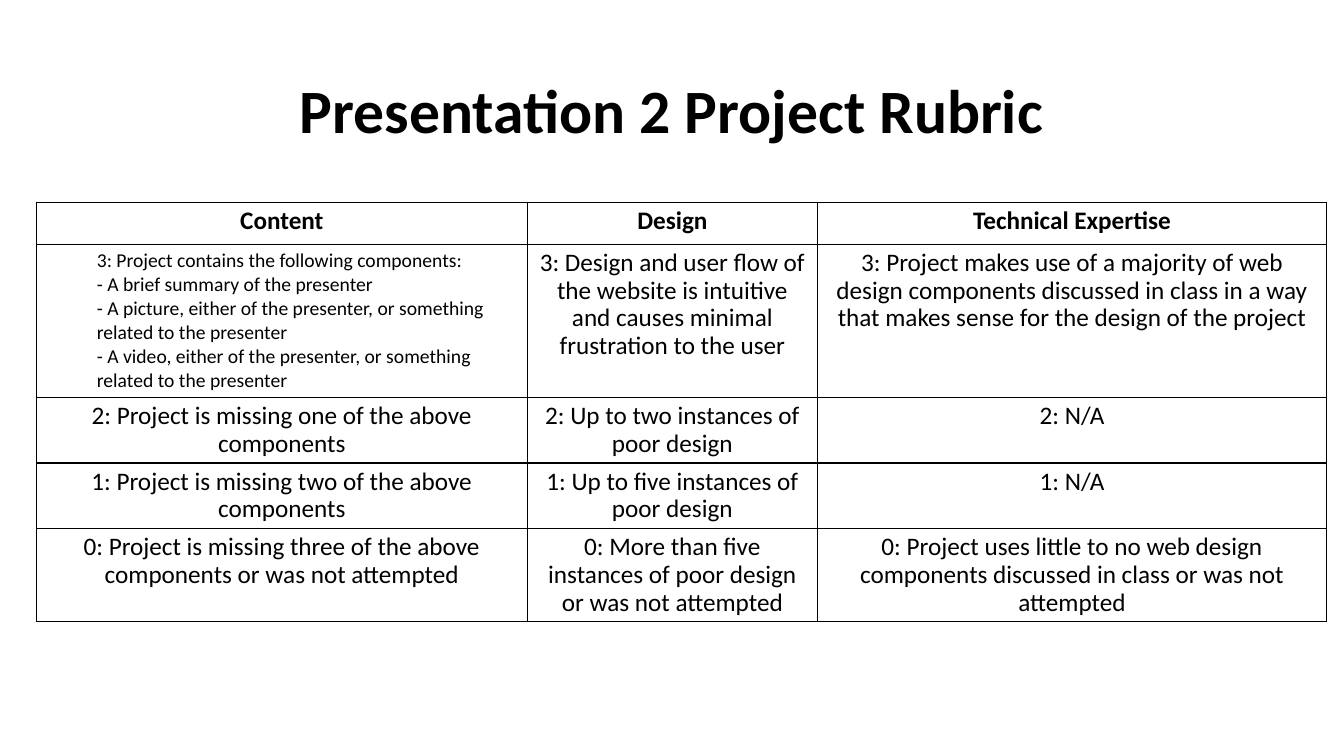
from lxml import etree
from pptx import Presentation
from pptx.dml.color import RGBColor
from pptx.enum.text import MSO_ANCHOR, PP_ALIGN
from pptx.oxml.ns import qn
from pptx.util import Pt

CENTER, LEFT = PP_ALIGN.CENTER, PP_ALIGN.LEFT
MIDDLE = MSO_ANCHOR.MIDDLE

THEME = {
    "font": "Calibri",
    "ink": "000000",
    "title": 44,
    "body": 18,
    "detail": 14,
    "border": 1,
    "spacing": 0.9,
}

TITLE = "Presentation 2 Project Rubric"
COLUMN_WIDTHS = [350.6, 207.4, 363.6]
ROW_HEIGHT = 30
DETAIL_INDENT = 36
RUBRIC = [
    ["Content", "Design", "Technical Expertise"],
    [
        [
            "3: Project contains the following components:",
            "- A brief summary of the presenter",
            "- A picture, either of the presenter, or something related to the presenter",
            "- A video, either of the presenter, or something related to the presenter",
        ],
        "3: Design and user flow of the website is intuitive and causes minimal frustration to the user",
        "3: Project makes use of a majority of web design components discussed in class "
        "in a way that makes sense for the design of the project",
    ],
    [
        "2: Project is missing one of the above components",
        "2: Up to two instances of poor design",
        "2: N/A",
    ],
    [
        "1: Project is missing two of the above components",
        "1: Up to five instances of poor design",
        "1: N/A",
    ],
    [
        "0: Project is missing three of the above components or was not attempted",
        "0: More than five instances of poor design or was not attempted",
        "0: Project uses little to no web design components discussed in class or was not attempted",
    ],
]


def write(para, text, size, bold=False, align=CENTER, spacing=THEME["spacing"]):
    para.alignment = align
    para.line_spacing = spacing
    span = para.add_run()
    span.text = text
    font_format = {"name": THEME["font"], "size": Pt(size), "bold": bold}
    for name, value in font_format.items():
        setattr(span.font, name, value)
    span.font.color.rgb = RGBColor.from_string(THEME["ink"])


def add_borders(cell):
    properties = cell._tc.get_or_add_tcPr()
    for side in ("lnL", "lnR", "lnT", "lnB"):
        line = etree.SubElement(properties, qn(f"a:{side}"), w=str(Pt(THEME["border"])))
        fill = etree.SubElement(line, qn("a:solidFill"))
        etree.SubElement(fill, qn("a:srgbClr"), val=THEME["ink"])


deck = Presentation()
deck.slide_width, deck.slide_height = Pt(960), Pt(540)
page = deck.slides.add_slide(deck.slide_layouts[5])

title = page.shapes.title
title_box = {"left": Pt(66), "top": Pt(28.75), "width": Pt(828), "height": Pt(104.4)}
for name, value in title_box.items():
    setattr(title, name, value)
title.text_frame.vertical_anchor = MIDDLE
write(title.text_frame.paragraphs[0], TITLE, THEME["title"], bold=True)

frame = page.shapes.add_table(
    len(RUBRIC), len(COLUMN_WIDTHS), Pt(26), Pt(144.5),
    Pt(sum(COLUMN_WIDTHS)), Pt(ROW_HEIGHT * len(RUBRIC)),
)
table = frame.table
table.first_row = table.horz_banding = False
for column, width in zip(table.columns, COLUMN_WIDTHS):
    column.width = Pt(width)

for row_index, row in enumerate(RUBRIC):
    table.rows[row_index].height = Pt(ROW_HEIGHT)
    for column_index, content in enumerate(row):
        cell = table.cell(row_index, column_index)
        add_borders(cell)
        cell.fill.background()
        if isinstance(content, str):
            write(cell.text_frame.paragraphs[0], content, THEME["body"], bold=row_index == 0)
            continue
        for line_index, text in enumerate(content):
            para = cell.text_frame.add_paragraph() if line_index else cell.text_frame.paragraphs[0]
            para.level = 1
            write(para, text, THEME["detail"], align=LEFT, spacing=1.0)
            indent = para._p.get_or_add_pPr()
            indent.set("marL", str(Pt(DETAIL_INDENT)))
            indent.set("indent", "0")

deck.save("out.pptx")
